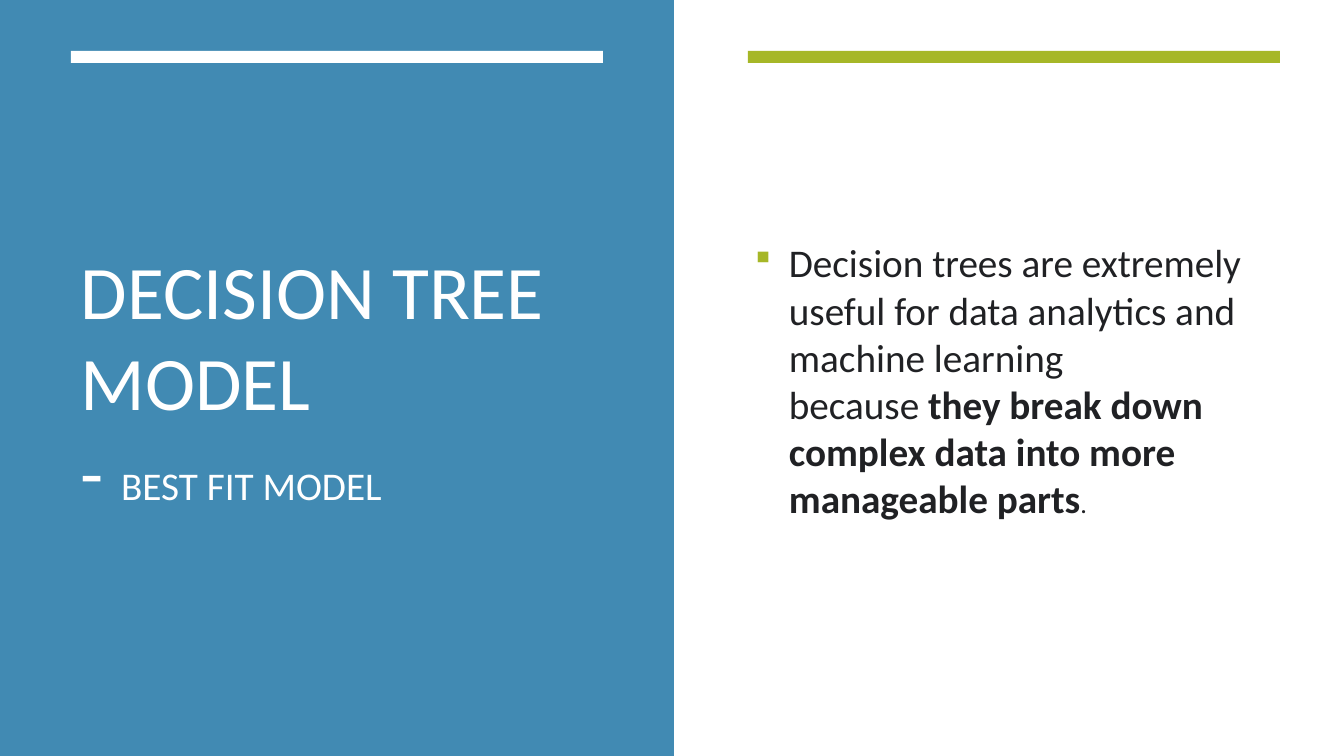
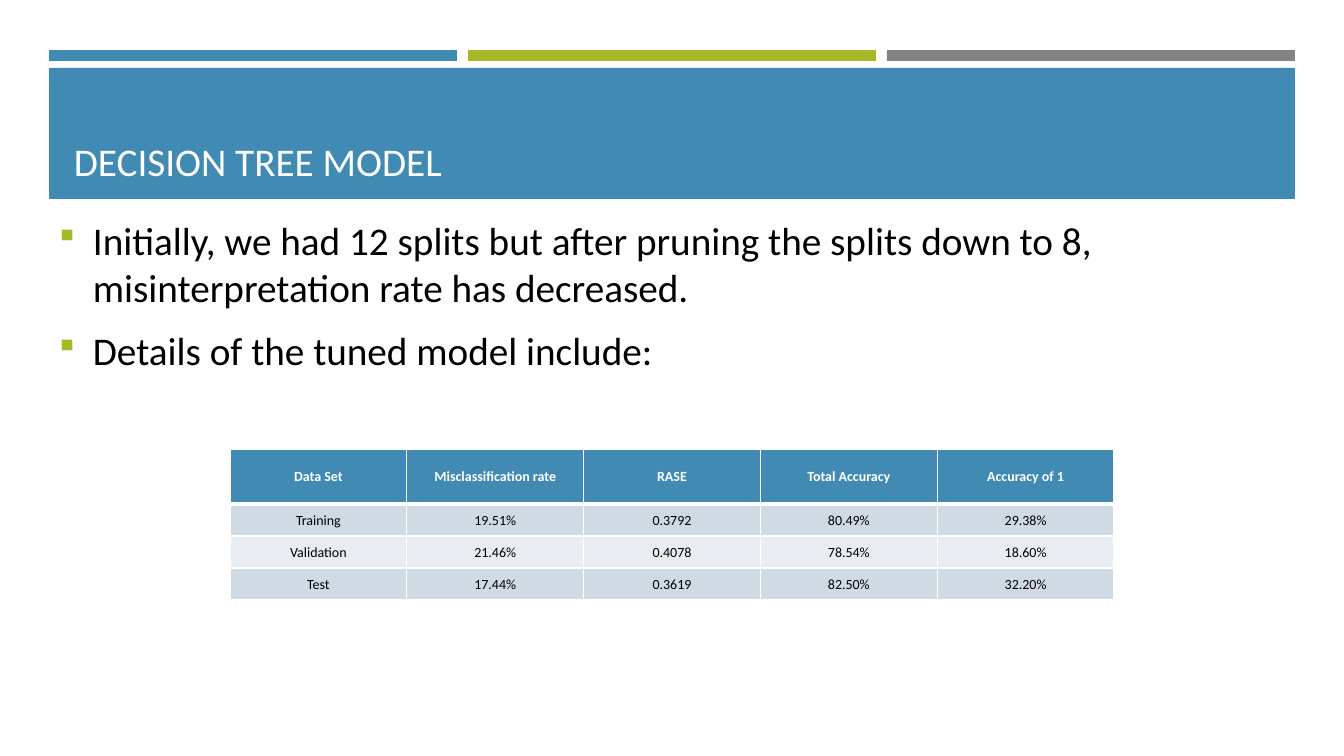
import lxml.etree
import pptx
import pptx.dml.color
import pptx.enum.shapes
import pptx.enum.text
import pptx.oxml.ns
import pptx.util

# Shared scale, colours and type
EMU_PER_PX = 914400 / 100.8
PAGE_WIDTH, PAGE_HEIGHT = 1344, 756
BLUE, GREEN, GREY = "418AB3", "A6B727", "838383"
WHITE, BLACK, INK = "FFFFFF", "000000", "202124"
STRIPES = ("CFDAE5", "E9EDF2")
FONT = "Calibri"
BODY_SIZE = 28
BAR_TOP = 50
BULLET_INDENT = 34
HARD_SPACE = chr(160)

ANCHOR = pptx.enum.text.MSO_ANCHOR

TABLE_ROWS = (
    ("Data Set", "Misclassification rate", "RASE", "Total Accuracy", "Accuracy of 1"),
    ("Training", "19.51%", "0.3792", "80.49%", "29.38%"),
    ("Validation", "21.46%", "0.4078", "78.54%", "18.60%"),
    ("Test", "17.44%", "0.3619", "82.50%", "32.20%"),
)


def px(length):
    return pptx.util.Emu(round(length * EMU_PER_PX))


def colour(value):
    return pptx.dml.color.RGBColor.from_string(value)


def add_child(parent, tag, **attributes):
    return lxml.etree.SubElement(parent, pptx.oxml.ns.qn(tag), attributes)


def add_page(deck):
    return deck.slides.add_slide(deck.slide_layouts[6])


def add_block(page, left, top, width, height, fill):
    block = page.shapes.add_shape(
        pptx.enum.shapes.MSO_SHAPE.RECTANGLE, px(left), px(top), px(width), px(height))
    block.shadow.inherit = False
    block.fill.solid()
    block.fill.fore_color.rgb = colour(fill)
    block.line.fill.background()


def add_text_frame(page, left, top, width, height, anchor):
    box = page.shapes.add_textbox(px(left), px(top), px(width), px(height))
    frame = box.text_frame
    frame.word_wrap = True
    frame.vertical_anchor = anchor
    return frame


def style_font(font, fill, size=None, bold=None):
    font.name = FONT
    font.color.rgb = colour(fill)
    if size:
        font.size = pptx.util.Pt(size)
    font.bold = bold


def add_span(para, text, size=None, bold=None, name=None):
    span = para.add_run()
    span.text = text
    if size:
        span.font.size = pptx.util.Pt(size)
    if bold is not None:
        span.font.bold = bold
    if name:
        span.font.name = name


def add_title(page, left, top, width, height, anchor, lines):
    """Each line is a list of (text, size) spans."""
    para = add_text_frame(page, left, top, width, height, anchor).paragraphs[0]
    style_font(para.font, WHITE)
    for number, line in enumerate(lines):
        if number:
            para.add_line_break()
        for text, size in line:
            add_span(para, text, size)


def add_bullet(para, fill):
    properties = para._p.get_or_add_pPr()
    properties.set("marL", str(px(BULLET_INDENT)))
    properties.set("indent", str(-px(BULLET_INDENT)))
    add_child(add_child(properties, "a:buClr"), "a:srgbClr", val=GREEN)
    add_child(properties, "a:buSzPct", val="92000")
    # The section sign is the square bullet of Wingdings
    add_child(properties, "a:buFont", typeface="Wingdings", charset="2")
    add_child(properties, "a:buChar", char="§")
    para.space_after = pptx.util.Pt(6)
    style_font(para.font, fill, BODY_SIZE)


def add_bullets(page, left, top, width, height, fill, items):
    """Each item is a list of spans, given as add_span arguments."""
    frame = add_text_frame(page, left, top, width, height, ANCHOR.MIDDLE)
    for number, spans in enumerate(items):
        para = frame.add_paragraph() if number else frame.paragraphs[0]
        add_bullet(para, fill)
        if number:
            para.space_before = pptx.util.Pt(5.6)
        for span in spans:
            add_span(para, *span)


def style_cell(cell, text, fill, font_fill, bold, bottom_width):
    properties = cell._tc.get_or_add_tcPr()
    for side in ("L", "R", "T", "B"):
        points = bottom_width if side == "B" else 1
        border = add_child(properties, "a:ln" + side, w=str(pptx.util.Pt(points)))
        add_child(add_child(border, "a:solidFill"), "a:srgbClr", val=WHITE)
    cell.fill.solid()
    cell.fill.fore_color.rgb = colour(fill)
    cell.margin_left = cell.margin_right = cell.margin_top = px(1)
    cell.margin_bottom = 0
    cell.vertical_anchor = ANCHOR.MIDDLE
    para = cell.text_frame.paragraphs[0]
    para.alignment = pptx.enum.text.PP_ALIGN.CENTER
    style_font(para.font, font_fill, 10, bold)
    add_span(para, text)


def add_results_table(page, left, top, width, header_height, row_height, rows):
    columns = len(rows[0])
    height = header_height + row_height * (len(rows) - 1)
    table = page.shapes.add_table(
        len(rows), columns, px(left), px(top), px(width), px(height)).table
    for column in table.columns:
        column.width = px(width / columns)
    for number, texts in enumerate(rows):
        header = number == 0
        table.rows[number].height = px(header_height if header else row_height)
        fill = BLUE if header else STRIPES[(number - 1) % 2]
        for position, text in enumerate(texts):
            style_cell(table.cell(number, position), text, fill,
                       WHITE if header else BLACK, header, 3 if header else 1)


def build_intro(deck):
    page = add_page(deck)
    # Blue half and the two top bars
    add_block(page, 0, 0, 674, PAGE_HEIGHT, BLUE)
    for left, fill in ((71, WHITE), (748, GREEN)):
        add_block(page, left, BAR_TOP + 1, 532, 12, fill)
    add_title(page, 71, 114, 532, 532, ANCHOR.MIDDLE, [
        [("DECISION TREE MODEL", 54)],
        [("- ", 54), ("BEST FIT MODEL", 28)],
    ])
    add_bullets(page, 745, 114, 535, 532, INK, [[
        ("Decision trees are extremely useful for data analytics and machine learning because"
         + HARD_SPACE,),
        ("they break down complex data into more manageable parts", None, True),
        (".", 20, False, "Roboto"),
    ]])


def build_results(deck):
    page = add_page(deck)
    # Three bars above the title band
    for number, fill in enumerate((BLUE, GREEN, GREY)):
        add_block(page, 49 + 419 * number, BAR_TOP, 408, 11, fill)
    add_block(page, 49, 68, 1246, 131, BLUE)
    add_title(page, 64, 77, 1216, 112, ANCHOR.BOTTOM, [[("DECISION TREE MODEL", 28)]])
    add_bullets(page, 49, 156, 1151, 278, BLACK, [
        [("Initially, we had 12 splits but after pruning the splits down to 8, "
          "misinterpretation rate has decreased.",)],
        [("Details of the tuned model include:",)],
    ])
    add_results_table(page, 230, 449, 884, 55, 32, TABLE_ROWS)


def main():
    deck = pptx.Presentation()
    deck.slide_width, deck.slide_height = px(PAGE_WIDTH), px(PAGE_HEIGHT)
    build_intro(deck)
    build_results(deck)
    deck.save("out.pptx")


if __name__ == "__main__":
    main()
